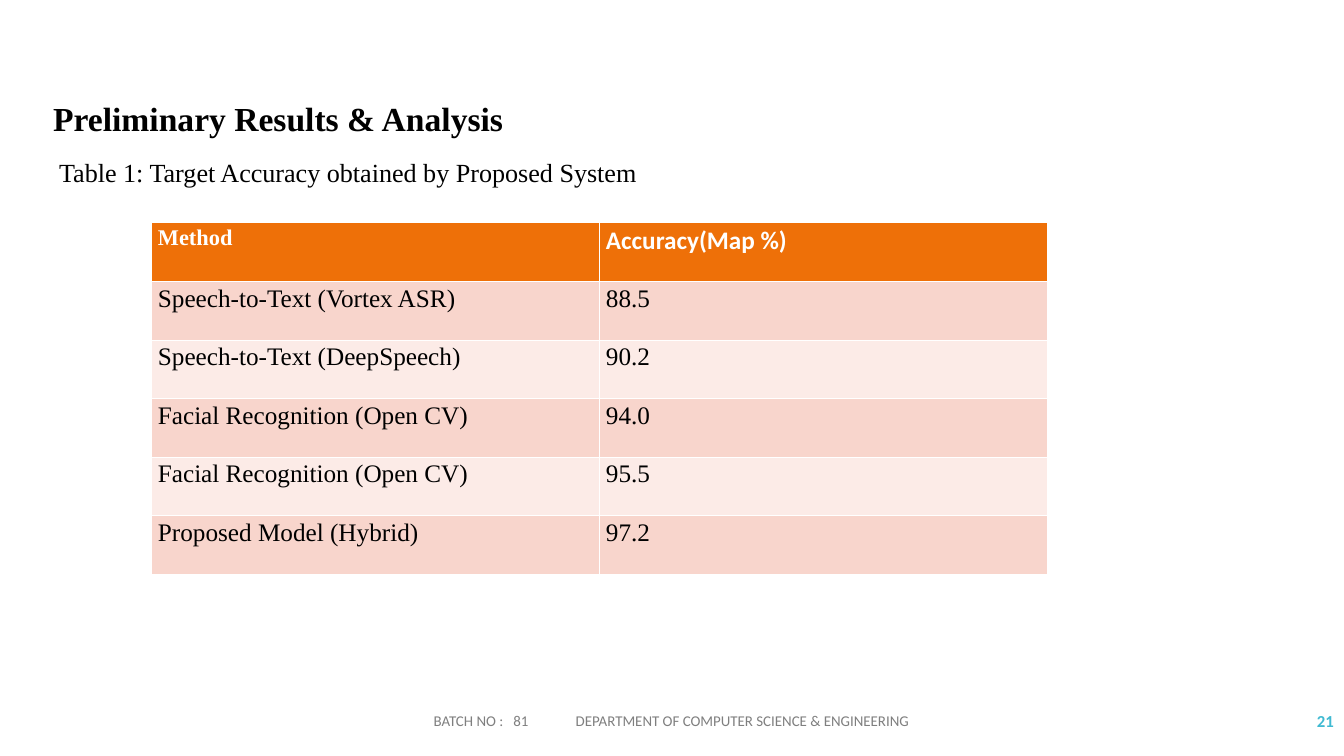
from dataclasses import dataclass

from lxml import etree
from pptx import Presentation
from pptx.dml.color import RGBColor
from pptx.enum.text import MSO_ANCHOR, PP_ALIGN
from pptx.oxml.ns import qn
from pptx.util import Emu, Pt

EMU_PER_PX = 9525
LEFT, RIGHT, JUSTIFY = PP_ALIGN.LEFT, PP_ALIGN.RIGHT, PP_ALIGN.JUSTIFY
TOP, MIDDLE = MSO_ANCHOR.TOP, MSO_ANCHOR.MIDDLE


@dataclass(frozen=True)
class Theme:
    serif: str = "Times New Roman"
    sans: str = "Calibri"
    black: str = "000000"
    white: str = "FFFFFF"
    gray: str = "7F7F7F"
    teal: str = "40BAD2"
    orange: str = "EE7008"
    bands: tuple = ("F8D5CC", "FCEBE7")
    title_size: int = 36
    caption_size: int = 28
    table_size: int = 27
    method_size: int = 24
    number_size: int = 18
    footer_size: int = 16
    thin_line: float = 0.45
    thick_line: float = 1.47


THEME = Theme()

HEADERS = (
    ("Method", THEME.method_size, THEME.serif),
    ("Accuracy(Map %)", THEME.table_size, THEME.sans),
)
RESULTS = (
    ("Speech-to-Text (Vortex ASR)", "88.5"),
    ("Speech-to-Text (DeepSpeech)", "90.2"),
    ("Facial Recognition (Open CV)", "94.0"),
    ("Facial Recognition (Open CV)", "95.5"),
    ("Proposed Model\u00a0(Hybrid)", "97.2"),
)


def px(length):
    return Emu(length * EMU_PER_PX)


def style(paragraph, size, font_name, color, bold=False):
    font = paragraph.font
    font.size, font.name, font.bold = Pt(size), font_name, bold
    font.color.rgb = RGBColor.from_string(color)


def add_tabs(paragraph, positions):
    tab_list = etree.SubElement(paragraph._p.get_or_add_pPr(), qn("a:tabLst"))
    for position in positions:
        etree.SubElement(tab_list, qn("a:tab"), pos=str(px(position)), algn="l")


def add_text(slide, box, text, size, font_name, color, bold=False,
             align=LEFT, anchor=TOP, tabs=()):
    frame = slide.shapes.add_textbox(*map(px, box)).text_frame
    frame.word_wrap = True
    frame.vertical_anchor = anchor
    paragraph = frame.paragraphs[0]
    paragraph.text = text
    paragraph.alignment = align
    if tabs:
        add_tabs(paragraph, tabs)
    style(paragraph, size, font_name, color, bold)
    return frame


def add_title(slide, text):
    frame = add_text(slide, (76, 114, 1768, 84), text, THEME.title_size,
                     THEME.serif, THEME.black, bold=True)
    frame.margin_left = frame.margin_right = 0
    frame.margin_top = frame.margin_bottom = 0
    frame.paragraphs[0].line_spacing = Pt(63)


def set_borders(cell, **widths):
    """Draw white borders; widths maps L, R, T and B to points."""
    properties = cell._tc.get_or_add_tcPr()
    for index, side in enumerate("LRTB"):
        line = etree.Element(qn(f"a:ln{side}"), w=str(Pt(widths.get(side, THEME.thin_line))))
        fill = etree.SubElement(line, qn("a:solidFill"))
        etree.SubElement(fill, qn("a:srgbClr"), val=THEME.white)
        properties.insert(index, line)


def fill_cell(cell, text, fill, size, font_name, color, bold=False, **widths):
    cell.fill.solid()
    cell.fill.fore_color.rgb = RGBColor.from_string(fill)
    set_borders(cell, **widths)
    paragraph = cell.text_frame.paragraphs[0]
    paragraph.text = text
    style(paragraph, size, font_name, color, bold)


def add_results_table(slide):
    box = map(px, (216, 318, 1280, 502))
    table = slide.shapes.add_table(len(RESULTS) + 1, len(HEADERS), *box).table
    for column, (text, size, font_name) in enumerate(HEADERS):
        fill_cell(table.cell(0, column), text, THEME.orange, size, font_name,
                  THEME.white, bold=True, B=THEME.thick_line)
    for row, values in enumerate(RESULTS, start=1):
        top_line = THEME.thick_line if row == 1 else THEME.thin_line
        band = THEME.bands[(row - 1) % len(THEME.bands)]
        for column, text in enumerate(values):
            fill_cell(table.cell(row, column), text, band, THEME.table_size,
                      THEME.serif, THEME.black, T=top_line)


def add_footer(slide):
    add_text(slide, (1674, 1001, 241, 58), "21", THEME.number_size, THEME.sans,
             THEME.teal, bold=True, align=RIGHT, anchor=MIDDLE)
    add_text(slide, (610, 1001, 931, 58),
             "BATCH NO :\t81\tDEPARTMENT OF COMPUTER SCIENCE & ENGINEERING",
             THEME.footer_size, THEME.sans, THEME.gray, anchor=MIDDLE, tabs=(114, 203))


def main():
    presentation = Presentation()
    presentation.slide_width, presentation.slide_height = px(1920), px(1080)
    slide = presentation.slides.add_slide(presentation.slide_layouts[6])
    add_title(slide, "Preliminary Results & Analysis")
    add_footer(slide)
    add_text(slide, (75, 219, 1648, 55),
             "Table 1: Target Accuracy obtained by Proposed System",
             THEME.caption_size, THEME.serif, THEME.black, align=JUSTIFY)
    add_results_table(slide)
    presentation.save("out.pptx")


if __name__ == "__main__":
    main()
